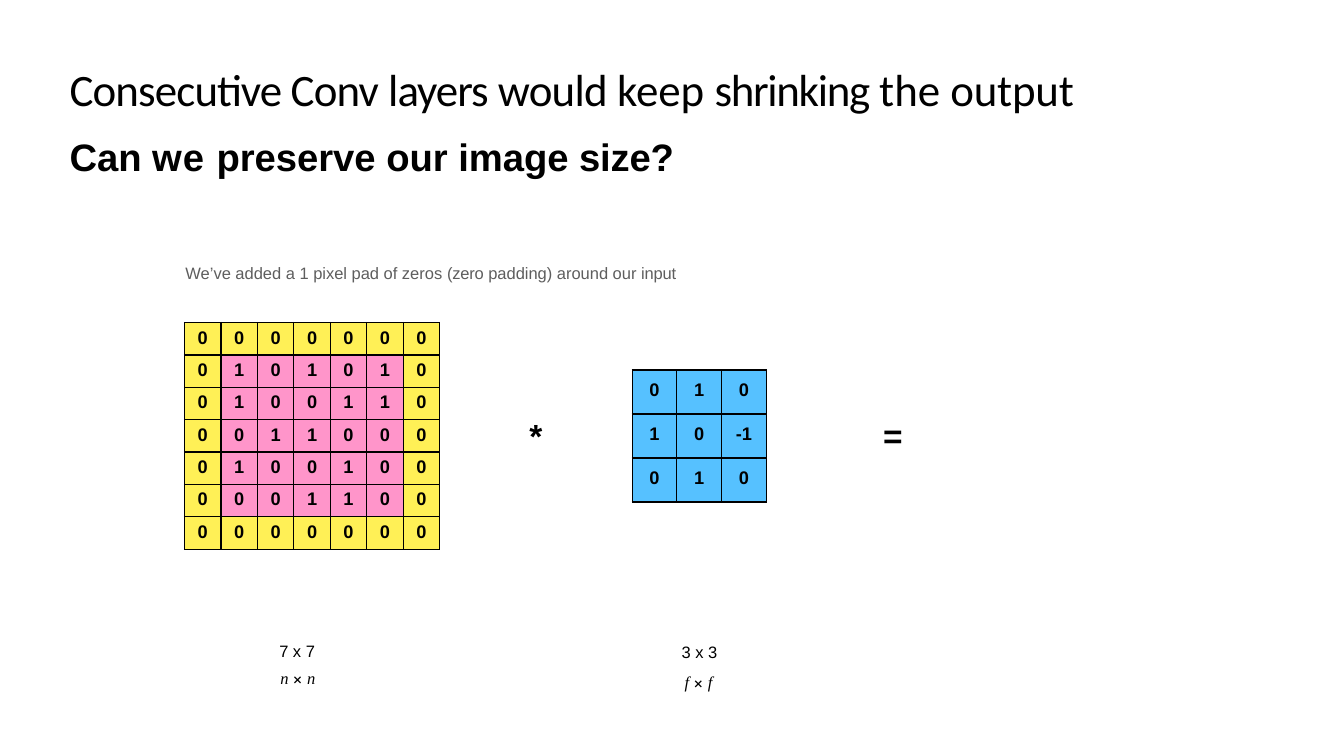
from dataclasses import dataclass

from lxml.etree import SubElement
from pptx import Presentation
from pptx.dml.color import RGBColor
from pptx.enum.text import MSO_ANCHOR, MSO_AUTO_SIZE as AutoSize, PP_ALIGN as Align
from pptx.oxml.ns import qn
from pptx.util import Pt

PX = 9144  # EMU per px, 100 px to the inch

COLORS = {
    "text": "000000",
    "note": "5E5E5E",
    "padding": "FFF056",
    "image": "FF95CA",
    "filter": "56C1FF",
}


@dataclass
class Span:
    text: str
    tracking: float = 0
    font: str | None = None
    italic: bool | None = None


@dataclass
class Line:
    spans: list[Span]
    size: float
    before: float
    font: str = "Arial"
    bold: bool = False
    color: str = "text"
    indent: int = 1
    align: Align = Align.LEFT


@dataclass
class Label:
    at: tuple[int, int, int, int]
    lines: list[Line]
    inset: int = 1


@dataclass
class Matrix:
    at: tuple[int, int, int, int]
    rows: list[str]
    fill: str
    inset: int
    before: float
    rim: str | None = None


def dimension_label(at: tuple[int, int, int, int], count: str, symbol: str,
                    inset: int, gaps: tuple[float, float], indent: int) -> Label:
    """Size of a matrix in numbers, with its symbolic form below."""
    formula = [Span(f"{symbol} ", 0, "Times New Roman", True),
               Span("× ", 0, "TeX Gyre Schola", False),
               Span(symbol, -0.3, "Times New Roman", True)]
    return Label(at, [Line([Span(f"{count} x "), Span(count, -0.3)], 11.8, gaps[0]),
                      Line(formula, 11.8, gaps[1], indent=indent)], inset)


TITLE = Label((68, 60, 1184, 55), [Line([
    Span("Consecutive Conv ", -0.6), Span("layers ", -0.7), Span("would ", -0.5),
    Span("keep "), Span("shrinking ", -0.9), Span("the "), Span("output", -0.1),
], 32.1, 0.8, "Calibri")])

LABELS = [
    Label((68, 131, 605, 47), [Line([
        Span("Can "), Span("we ", 0.7), Span("preserve our image "), Span("size?", -0.1),
    ], 27.3, 0.8, bold=True)]),
    Label((183, 260, 502, 21), [Line([
        Span("We’ve added a 1 pixel pad of zeros "), Span("(zero ", -0.1),
        Span("padding) around our "), Span("input", -0.1),
    ], 11.8, 0.8, color="note")]),
    Label((524, 411, 15, 41), [Line([Span("*", 0.1)], 23.9, 0.6, bold=True)]),
    Label((875, 411, 22, 41), [Line([Span("=", -0.3)], 23.9, 0.6, bold=True)]),
    dimension_label((276, 628, 38, 55), "7", "n", 8, (5.8, 5.2), 2),
    dimension_label((675, 626, 38, 60), "3", "f", 11, (7.6, 7), 4),
]

MATRICES = [
    Matrix((183, 320, 253, 225),
           ["0 0 0 0 0 0 0", "0 1 0 1 0 1 0", "0 1 0 0 1 1 0", "0 0 1 1 0 0 0",
            "0 1 0 0 1 0 0", "0 0 0 1 1 0 0", "0 0 0 0 0 0 0"],
           "image", 5, 5.8, rim="padding"),
    Matrix((627, 367, 133, 131), ["0 1 0", "1 0 -1", "0 1 0"], "filter", 10, 12.3),
]


def rgb(name: str) -> RGBColor:
    return RGBColor.from_string(COLORS[name])


def fill_para(para, line: Line) -> None:
    para.alignment = line.align
    para.space_before = Pt(line.before)
    props = para._p.get_or_add_pPr()
    props.set("marL", str(line.indent * PX))
    props.set("indent", "0")
    font = para.font
    font.size, font.bold, font.name = Pt(line.size), line.bold, line.font
    font.color.rgb = rgb(line.color)
    for span in line.spans:
        run = para.add_run()
        run.text = span.text
        # Runs repeat the line's look so that inherited styles do not override it
        run.font.size, run.font.bold = Pt(line.size), line.bold
        run.font.name = span.font or line.font
        run.font.italic = span.italic
        run.font.color.rgb = rgb(line.color)
        if span.tracking:
            run._r.get_or_add_rPr().set("spc", str(round(span.tracking * 100)))


def fill_label(box, label: Label) -> None:
    box.left, box.top, box.width, box.height = (n * PX for n in label.at)
    frame = box.text_frame
    frame.word_wrap = True
    frame.auto_size = AutoSize.SHAPE_TO_FIT_TEXT
    frame.margin_left = frame.margin_right = frame.margin_bottom = 0
    frame.margin_top = label.inset * PX
    for index, line in enumerate(label.lines):
        fill_para(frame.add_paragraph() if index else frame.paragraphs[0], line)


def add_borders(cell) -> None:
    props = cell._tc.get_or_add_tcPr()
    for side in ("lnL", "lnR", "lnT", "lnB"):
        border = SubElement(props, qn(f"a:{side}"), w=str(Pt(1)))
        solid = SubElement(border, qn("a:solidFill"))
        SubElement(solid, qn("a:srgbClr"), val=COLORS["text"])


def add_matrix(page, matrix: Matrix) -> None:
    size = len(matrix.rows)
    table = page.shapes.add_table(size, size, *(n * PX for n in matrix.at)).table
    table.first_row = table.horz_banding = False
    for r, row in enumerate(matrix.rows):
        for c, value in enumerate(row.split()):
            cell = table.cell(r, c)
            cell.margin_left = cell.margin_right = cell.margin_bottom = 0
            cell.margin_top = matrix.inset * PX
            add_borders(cell)
            on_rim = matrix.rim and {r, c} & {0, size - 1}
            cell.fill.solid()
            cell.fill.fore_color.rgb = rgb(matrix.rim if on_rim else matrix.fill)
            spans = [Span("-"), Span("1", 0.3)] if value == "-1" else [Span(value, -0.5)]
            fill_para(cell.text_frame.paragraphs[0],
                      Line(spans, 13, matrix.before, bold=True, indent=0, align=Align.CENTER))


def main() -> None:
    deck = Presentation()
    deck.slide_width, deck.slide_height = 1333 * PX, 750 * PX
    page = deck.slides.add_slide(deck.slide_layouts[5])

    # Title
    fill_label(page.shapes.title, TITLE)
    page.shapes.title.text_frame.vertical_anchor = MSO_ANCHOR.MIDDLE

    # Question, operators, dimensions and padding note
    for label in LABELS:
        fill_label(page.shapes.add_textbox(0, 0, PX, PX), label)

    # Padded input and filter
    for matrix in MATRICES:
        add_matrix(page, matrix)

    deck.save("out.pptx")


if __name__ == "__main__":
    main()
